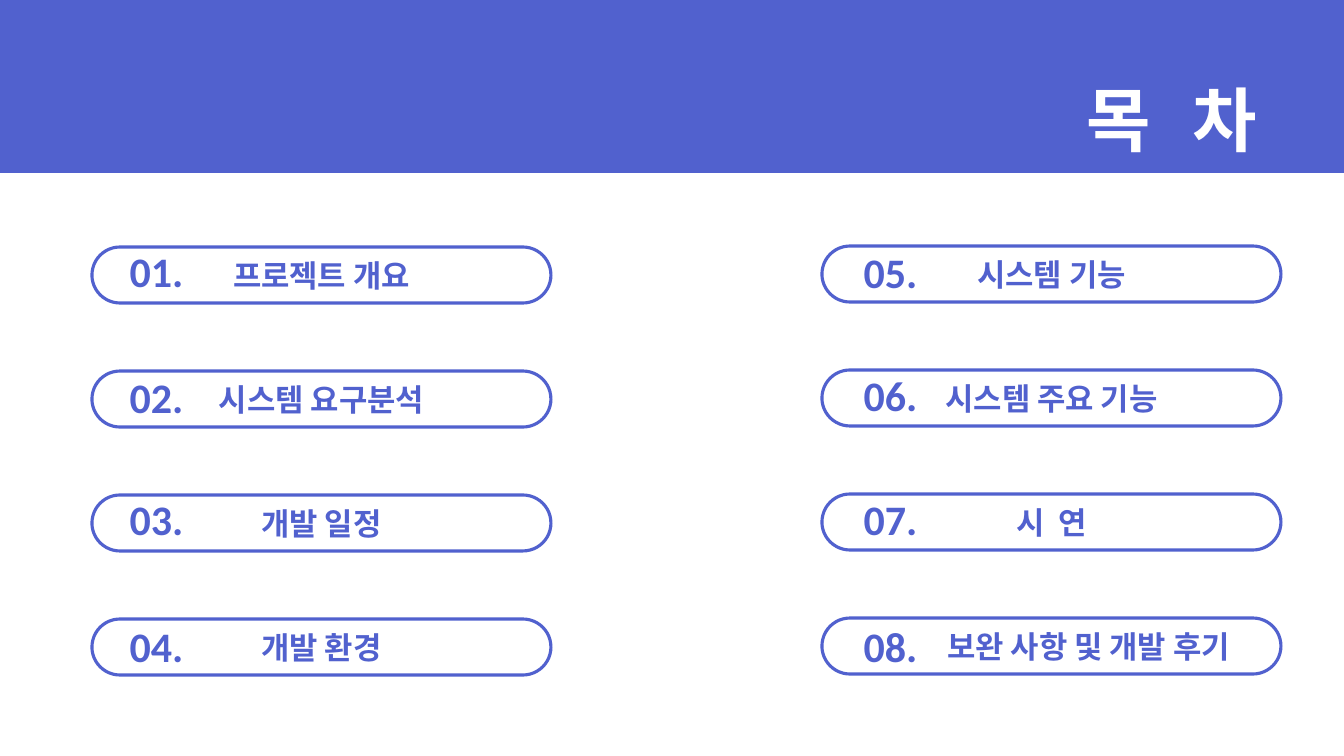
from lxml import etree
from pptx import Presentation
from pptx import util as u
from pptx.dml.color import RGBColor
from pptx.enum import shapes, text
from pptx.oxml.ns import qn

# Content: number, label, top of the number (px)
TITLE = "목 차"
LEFT = [("01.", "프로젝트 개요", 241), ("02.", "시스템 요구분석", 367),
        ("03.", "개발 일정", 489), ("04.", "개발 환경", 616)]
RIGHT = [("05.", "시스템 기능", 242), ("06.", "시스템 주요 기능", 365),
         ("07.", "시 연", 489), ("08.", "보완 사항 및 개발 후기", 616)]
# Column: entries, pill left, first pill top, number left
COLS = [(LEFT, 92, 247, 119), (RIGHT, 822, 246, 853)]
STEP, PILL_W, PILL_H = 124, 459, 56
NUM_W, NUM_H = 75, 61
INSET = {"08.": 84}     # left inset that keeps a long label off its number
TRACK = {"07.": 250}    # letter spacing, 1/100 pt

BLUE = RGBColor(0x51, 0x61, 0xCE)
WHITE = RGBColor(0xFF, 0xFF, 0xFF)
HEAD = dict(name="Arial", size=u.Pt(50), bold=True)
LABEL = dict(name="Noto Sans CJK KR", size=u.Pt(22), bold=True)
NUMBER = dict(name="Calibri", size=u.Pt(30), bold=True)
MID = text.PP_ALIGN.CENTER


def px(n):
    return round(n * 914400 / 100.8)


def write(shape, words, style, color, align, anchor, wrap=True, track=0):
    frame = shape.text_frame
    frame.text = words
    frame.word_wrap, frame.vertical_anchor = wrap, anchor
    frame.auto_size = text.MSO_AUTO_SIZE.NONE
    para = frame.paragraphs[0]
    para.alignment = align
    run = para.runs[0]
    for key, val in style.items():
        setattr(run.font, key, val)
    run.font.color.rgb = color
    # East Asian face and letter spacing
    prop = run.font._element
    east = etree.Element(qn("a:ea"), typeface=style["name"])
    prop.find(qn("a:latin")).addnext(east)
    if track:
        prop.set("spc", str(track))


prs = Presentation()
prs.slide_width, prs.slide_height = px(1344), px(756)
slide = prs.slides.add_slide(prs.slide_layouts[5])
parts = slide.shapes

# Band, placed behind the title
band = parts.add_shape(shapes.MSO_SHAPE.RECTANGLE, 0, 0, px(1344), px(173))
band.shadow.inherit = False
band.fill.solid()
band.fill.fore_color.rgb = BLUE
band.line.fill.background()
title = parts.title
title._element.addprevious(band._element)

# Title
title.left, title.top, title.width, title.height = map(px, (1076, 71, 214, 95))
write(title, TITLE, HEAD, WHITE, text.PP_ALIGN.LEFT,
      text.MSO_ANCHOR.TOP, track=800)

# Two columns of numbered pills
for items, left, top, num_x in COLS:
    for row, (num, label, num_y) in enumerate(items):
        pill = parts.add_shape(
            shapes.MSO_SHAPE.ROUNDED_RECTANGLE, px(left), px(top + row * STEP),
            px(PILL_W), px(PILL_H))
        pill.adjustments[0] = 0.5
        pill.shadow.inherit = False
        pill.fill.background()
        pill.line.color.rgb = BLUE
        pill.line.width = u.Pt(2.25)
        write(pill, label, LABEL, BLUE, MID, text.MSO_ANCHOR.MIDDLE,
              track=TRACK.get(num, 0))
        pill.text_frame.margin_left = px(INSET.get(num, 10))
        box = parts.add_textbox(px(num_x), px(num_y), px(NUM_W), px(NUM_H))
        write(box, num, NUMBER, BLUE, MID, text.MSO_ANCHOR.TOP, wrap=False)

prs.save("out.pptx")
